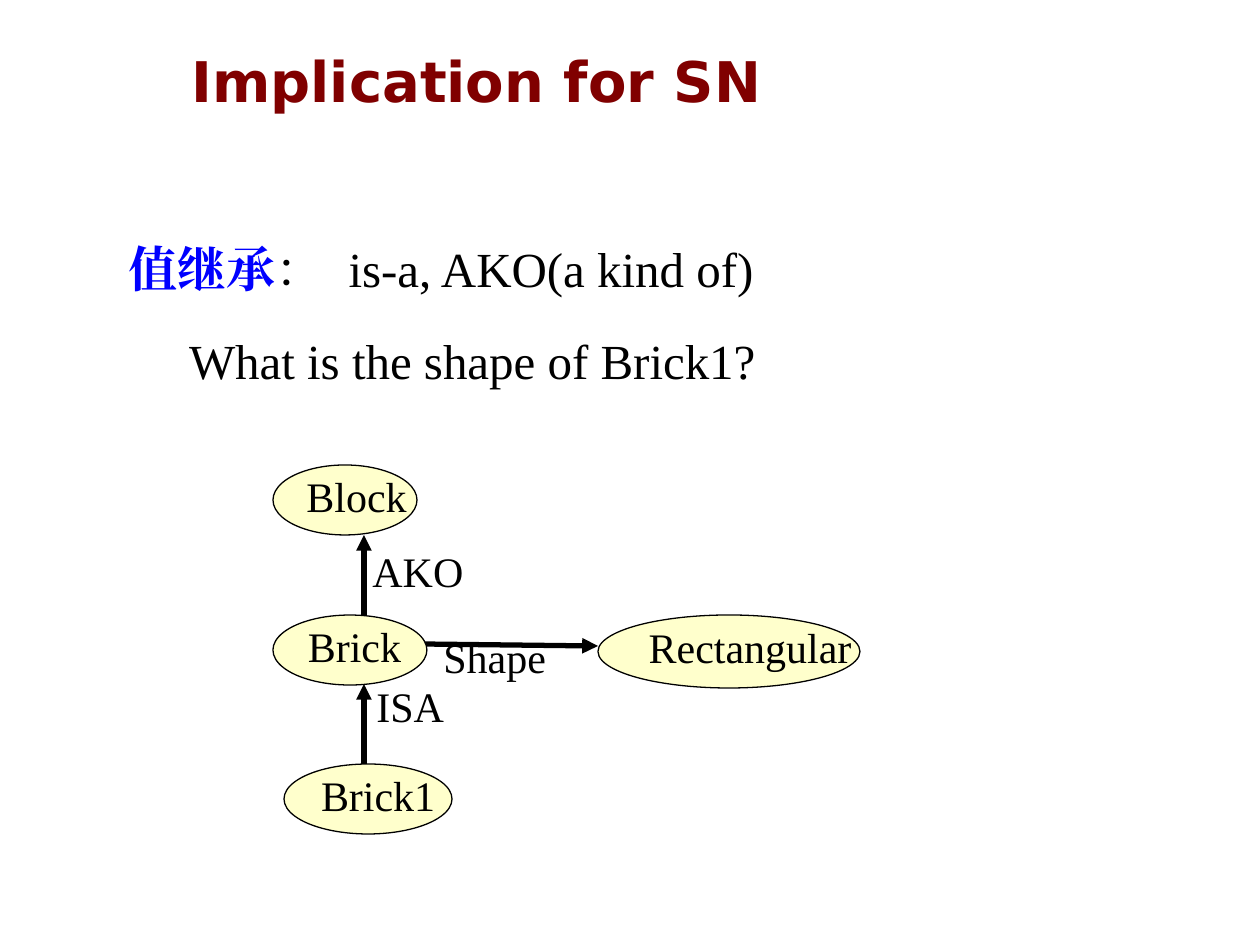
from pptx import Presentation
from pptx.dml.color import RGBColor
from pptx.enum.shapes import MSO_CONNECTOR, MSO_SHAPE
from pptx.enum.text import MSO_ANCHOR, PP_ALIGN
from pptx.oxml.ns import qn
from pptx.util import Pt
from lxml.etree import SubElement

PX = 914400 / 126
COLORS = {"title": "800000", "term": "0000FF", "ink": "000000", "node": "FFFFCC"}
SERIF = "Times New Roman"


def emu(*lengths):
    return [round(length * PX) for length in lengths]


def write(shape, text, size, color="ink", font=SERIF, spacing=0.8,
          anchor=MSO_ANCHOR.TOP, wrap=True):
    frame = shape.text_frame
    frame.word_wrap = wrap
    frame.vertical_anchor = anchor
    line = frame.paragraphs[0]
    line.text = text
    line.alignment = PP_ALIGN.LEFT
    line.line_spacing = spacing
    line.font.size = Pt(size)
    line.font.name = font
    line.font.color.rgb = RGBColor.from_string(COLORS[color])
    return line


prs = Presentation()
prs.slide_width, prs.slide_height = emu(1260, 945)
slide = prs.slides.add_slide(prs.slide_layouts[6])
shapes = slide.shapes

# Title
title = shapes.add_textbox(*emu(179, 32, 1046, 97))
write(title, "Implication for SN", 32, "title", "DejaVu Sans", 1.0,
      MSO_ANCHOR.MIDDLE).font.bold = True

# Value inheritance, with the term in bold
inheritance = shapes.add_textbox(*emu(116, 232, 1102, 88))
statement = write(inheritance, "值继承", 28, spacing=1.0)
term = statement.runs[0]
term.font.bold = True
term.font.color.rgb = RGBColor.from_string(COLORS["term"])
colon = statement.add_run()
colon.text = "： "
colon.font._element.set("spc", "350")  # widens the gap after the colon
statement.add_run().text = "is-a, AKO(a kind of)"
for run in statement.runs:
    SubElement(run.font._element, qn("a:ea")).set("typeface", SERIF)

# Question
question = shapes.add_textbox(*emu(189, 336, 689, 60))
question.text_frame.margin_left = 0
write(question, "What is the shape of Brick1?", 28)

# Arrows of the semantic network
for ends in [(423, 644, 598, 646), (364, 615, 364, 535), (364, 764, 364, 684)]:
    arrow = shapes.add_connector(MSO_CONNECTOR.STRAIGHT, *emu(*ends))
    arrow.line.color.rgb = RGBColor.from_string(COLORS["ink"])
    arrow.line.width = Pt(3)
    SubElement(arrow.line._get_or_add_ln(), qn("a:tailEnd")).set("type", "triangle")
    SubElement(arrow._element.spPr, qn("a:effectLst"))

# Nodes
for name, *box in [
    ("Block", 273, 465, 144, 70),
    ("Brick", 273, 615, 154, 70),
    ("Brick1", 284, 764, 168, 70),
    ("Rectangular", 598, 615, 262, 73),
]:
    node = shapes.add_shape(MSO_SHAPE.OVAL, *emu(*box))
    node.shadow.inherit = False
    node.fill.solid()
    node.fill.fore_color.rgb = RGBColor.from_string(COLORS["node"])
    node.line.color.rgb = RGBColor.from_string(COLORS["ink"])
    node.line.width = Pt(0.75)
    write(node, name, 24, anchor=MSO_ANCHOR.MIDDLE, wrap=False)

# Relation labels
for relation, *box in [
    ("AKO", 360, 549, 161, 53),
    ("ISA", 364, 684, 111, 53),
    ("Shape", 431, 635, 165, 53),
]:
    write(shapes.add_textbox(*emu(*box)), relation, 24)

prs.save("out.pptx")
